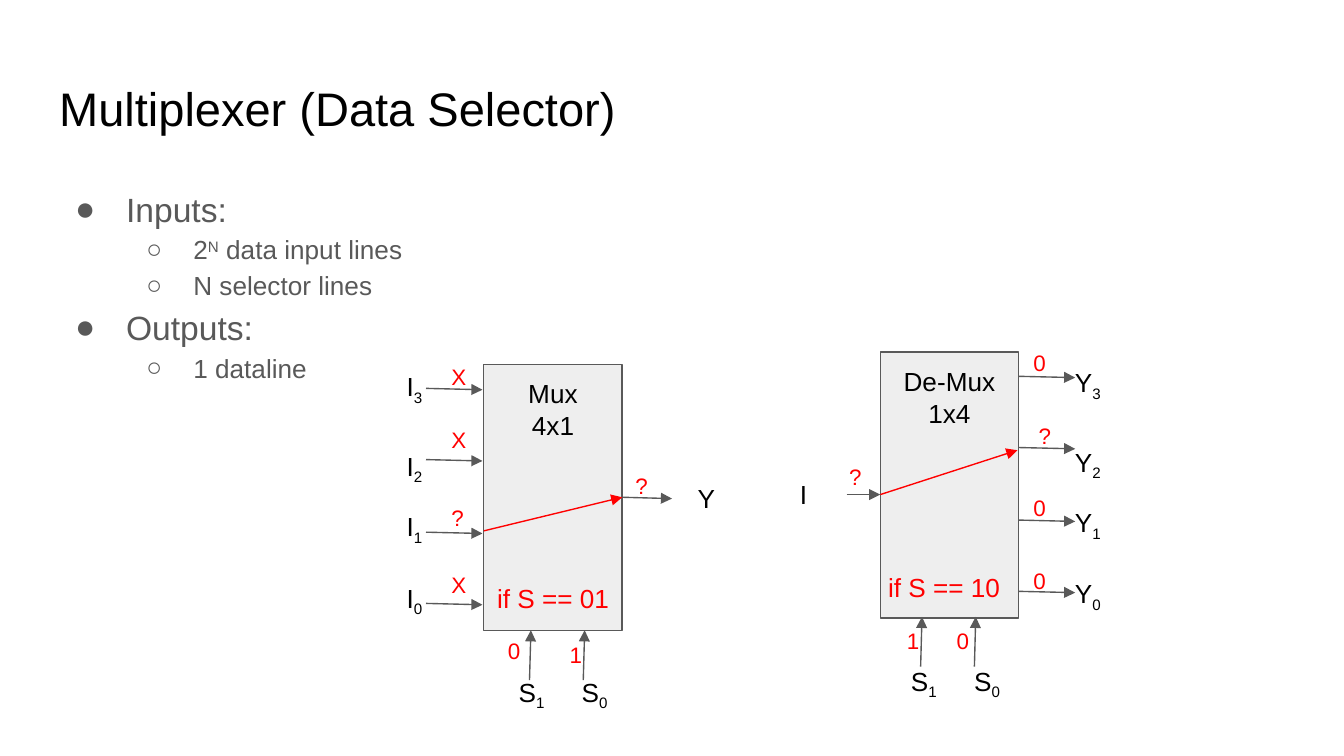
from lxml import etree
from pptx import Presentation
from pptx.dml.color import RGBColor
from pptx.enum.shapes import MSO_CONNECTOR, MSO_SHAPE
from pptx.enum.text import MSO_ANCHOR, MSO_AUTO_SIZE, PP_ALIGN
from pptx.oxml.ns import qn
from pptx.util import Emu, Pt

PX = 9144
BLACK = RGBColor(0x00, 0x00, 0x00)
GRAY = RGBColor(0x59, 0x59, 0x59)
LIGHT = RGBColor(0xEE, 0xEE, 0xEE)
RED = RGBColor(0xFF, 0x00, 0x00)
LEFT, CENTER = PP_ALIGN.LEFT, PP_ALIGN.CENTER
TOP = MSO_ANCHOR.TOP
NO_FIT, GROW = MSO_AUTO_SIZE.NONE, MSO_AUTO_SIZE.SHAPE_TO_FIT_TEXT
RECT, STRAIGHT = MSO_SHAPE.RECTANGLE, MSO_CONNECTOR.STRAIGHT
TITLE_ONLY = 5


def px(*values):
    return [Emu(v * PX) for v in values]


class Diagram:
    font = "Arial"
    line_width = Pt(0.75)

    def __init__(self, slide):
        self.slide = slide

    def frame(self, sp, fit):
        tf = sp.text_frame
        tf.word_wrap = True
        tf.auto_size = fit
        tf.vertical_anchor = TOP
        tf.margin_left = tf.margin_top = tf.margin_right = tf.margin_bottom = Emu(10 * PX)
        return tf

    def style(self, p, size, color, align=LEFT):
        p.alignment = align
        for r in p.runs:
            r.font.name = self.font
            r.font.size = Pt(size)
            r.font.color.rgb = color

    def shift(self, r, percent):
        r._r.get_or_add_rPr().set("baseline", str(percent * 1000))

    def title(self, text, x, y, w, h):
        sp = self.slide.shapes.title
        sp.left, sp.top, sp.width, sp.height = px(x, y, w, h)
        tf = self.frame(sp, NO_FIT)
        tf.text = text
        self.style(tf.paragraphs[0], 25.2, BLACK)

    def bullets(self, items, x, y, w, h):
        sp = self.slide.shapes.add_textbox(*px(x, y, w, h))
        tf = self.frame(sp, NO_FIT)
        for i, (level, parts) in enumerate(items):
            p = tf.paragraphs[0] if i == 0 else tf.add_paragraph()
            p.level = level
            p.line_spacing = 1.15
            for text, percent in parts:
                r = p.add_run()
                r.text = text
                if percent:
                    self.shift(r, percent)
            size, char, margin, indent = ((18, "●", 50, -38), (14, "○", 100, -35))[level]
            self.style(p, size, GRAY)
            pPr = p._p.get_or_add_pPr()
            pPr.set("marL", str(margin * PX))
            pPr.set("indent", str(indent * PX))
            color = etree.SubElement(pPr, qn("a:buClr"))
            etree.SubElement(color, qn("a:srgbClr"), val=str(GRAY))
            etree.SubElement(pPr, qn("a:buFont"), typeface=self.font)
            etree.SubElement(pPr, qn("a:buChar"), char=char)

    def box(self, text, x, y, w, h):
        sp = self.slide.shapes.add_shape(RECT, *px(x, y, w, h))
        sp.shadow.inherit = False
        sp.fill.solid()
        sp.fill.fore_color.rgb = LIGHT
        sp.line.color.rgb = GRAY
        sp.line.width = self.line_width
        tf = self.frame(sp, NO_FIT)
        tf.text = text
        for p in tf.paragraphs:
            self.style(p, 14, BLACK, CENTER)

    def label(self, text, x, y, w=93, h=44, sub="", size=14, color=BLACK, align=CENTER, rotation=0):
        sp = self.slide.shapes.add_textbox(*px(x, y, w, h))
        sp.rotation = rotation
        tf = self.frame(sp, GROW)
        tf.text = text
        p = tf.paragraphs[0]
        if sub:
            r = p.add_run()
            r.text = sub
            self.shift(r, -25)
        self.style(p, size, color, align)

    def value(self, text, x, y):
        self.label(text, x, y, 24, 40, size=12, color=RED, align=LEFT)

    def condition(self, text, x, y):
        self.label(text, x, y, 109, color=RED, align=LEFT)

    def arrow(self, x1, y1, x2, y2, color=GRAY):
        sp = self.slide.shapes.add_connector(STRAIGHT, *px(x1, y1, x2, y2))
        sp.line.color.rgb = color
        sp.line.width = self.line_width
        spPr = sp._element.spPr
        etree.SubElement(spPr.find(qn("a:ln")), qn("a:tailEnd"), type="triangle")
        etree.SubElement(spPr, qn("a:effectLst"))

    def data_lines(self, letter, arrow_x, label_x, top, label_top, values):
        for i, (offset, value) in enumerate(zip((0, 59, 104, 157), values)):
            y = top + round(i * 160 / 3)
            self.arrow(arrow_x, y, arrow_x + 42, y + 1)
            self.label(letter, label_x, label_top + offset, sub=str(3 - i))
            self.value(*value)

    def selectors(self, arrow_x, top, label_x, label_top, values):
        for i, value in enumerate(values):
            x = arrow_x + 40 * i
            self.arrow(x, top + 37, x + 1, top)
            self.label("S", label_x + 47 * i, label_top, sub=str(1 - i), rotation=359.9)
            self.value(*value)


def main():
    prs = Presentation()
    prs.slide_width = Emu(1000 * PX)
    prs.slide_height = Emu(prs.slide_width * 9 // 16)
    s = Diagram(prs.slides.add_slide(prs.slide_layouts[TITLE_ONLY]))

    s.title("Multiplexer (Data Selector)", 34, 49, 932, 63)
    s.bullets([
        (0, [("Inputs:", 0)]),
        (1, [("2", 0), ("N", 30), (" data input lines", 0)]),
        (1, [("N selector lines", 0)]),
        (0, [("Outputs:", 0)]),
        (1, [("1 dataline", 0)]),
    ], 34, 126, 932, 374)

    s.box("Mux\n4x1", 360, 271, 103, 198)
    s.data_lines("I", 317, 262, 289, 266,
                 [("X", 326, 260), ("X", 326, 307), ("?", 326, 365), ("X", 326, 415)])
    s.arrow(463, 370, 500, 371)
    s.label("Y", 500, 349, 51)
    s.value("?", 463, 341)
    s.selectors(394, 469, 349, 493, [("0", 368, 464), ("1", 414, 467)])
    s.condition("if S == 01", 360, 423)
    s.arrow(360, 395, 463, 370, RED)

    s.box("De-Mux\n1x4", 655, 262, 103, 198)
    s.data_lines("Y", 758, 763, 280, 263,
                 [("0", 759, 250), ("?", 763, 304), ("0", 759, 358), ("0", 759, 412)])
    s.arrow(630, 368, 655, 368)
    s.label("I", 566, 346, 64)
    s.value("?", 622, 335)
    s.selectors(685, 459, 641, 485, [("1", 665, 457), ("0", 702, 457)])
    s.condition("if S == 10", 651, 415)
    s.arrow(655, 368, 757, 335, RED)

    prs.save("out.pptx")


if __name__ == "__main__":
    main()
